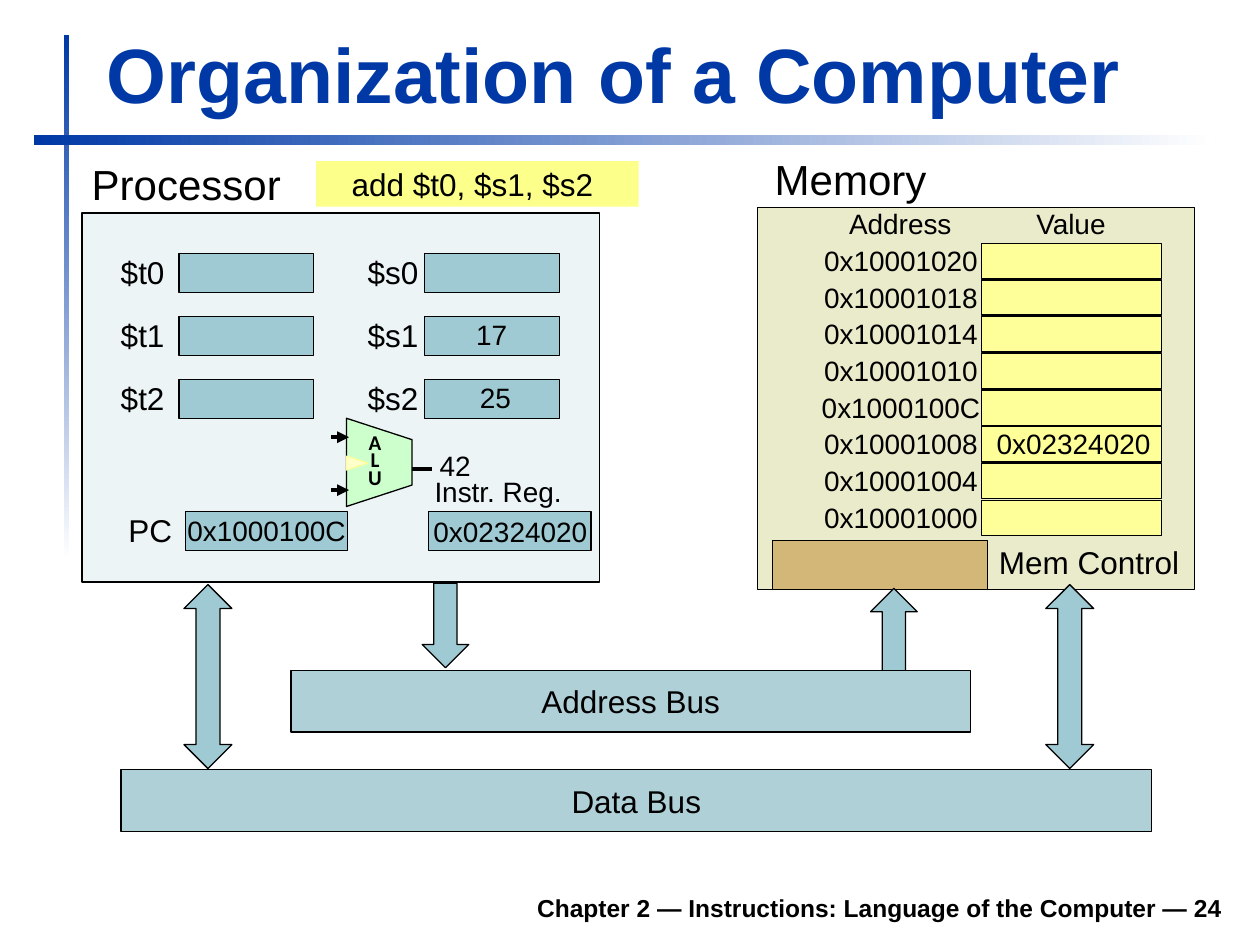
from dataclasses import dataclass

import pptx
import pptx.dml.color
import pptx.enum.dml
import pptx.enum.shapes
import pptx.enum.text
import pptx.oxml
import pptx.oxml.ns
import pptx.util
from lxml import etree

Inches = pptx.util.Inches
Pt = pptx.util.Pt
MSO = pptx.enum.shapes.MSO_SHAPE
ANCHOR = pptx.enum.text.MSO_ANCHOR
ALIGN = pptx.enum.text.PP_ALIGN
FIT = pptx.enum.text.MSO_AUTO_SIZE
qn = pptx.oxml.ns.qn

BLACK, BLUE, WHITE = "000000", "0039A6", "FFFFFF"
TEAL, BUS, YELLOW = "9FCAD3", "B0D0D8", "FFFF99"
CENTERED = {"align": ALIGN.CENTER, "anchor": ANCHOR.MIDDLE}


@dataclass
class Box:
    x: float
    y: float
    w: float
    h: float
    fill: str = TEAL
    line: str | None = BLACK
    kind: int = MSO.RECTANGLE
    rotation: int = 0


@dataclass
class Label:
    text: str
    x: float
    y: float
    w: float
    h: float
    size: int = 18
    bold: bool = False
    color: str = BLACK
    font: str = "Arial"
    align: int = ALIGN.LEFT
    anchor: int = ANCHOR.TOP
    wrap: bool = False
    spacing: float = 1.0


def rgb(value: str) -> pptx.dml.color.RGBColor:
    return pptx.dml.color.RGBColor.from_string(value)


def apply(target, values: dict) -> None:
    for name, value in values.items():
        setattr(target, name, value)


def write(sp, label: Label, left: float = 0.1, right: float = 0.1) -> None:
    tf = sp.text_frame
    apply(tf, {
        "word_wrap": label.wrap, "vertical_anchor": label.anchor,
        "margin_left": Inches(left), "margin_right": Inches(right),
        "margin_top": Inches(0.05), "margin_bottom": Inches(0.05),
    })
    p = tf.paragraphs[0]
    apply(p, {"alignment": label.align, "line_spacing": label.spacing})
    r = p.add_run()
    r.text = label.text
    apply(r.font, {"name": label.font, "size": Pt(label.size), "bold": label.bold})
    r.font.color.rgb = rgb(label.color)


def add_label(s, label: Label) -> None:
    sp = s.shapes.add_textbox(*map(Inches, (label.x, label.y, label.w, label.h)))
    if label.wrap:
        write(sp, label)
    else:
        write(sp, label, 0 if label.align == ALIGN.CENTER else 0.1, 0)
        sp.text_frame.auto_size = FIT.NONE


def paint(sp, fill: str, line: str | None) -> None:
    sp.shadow.inherit = False
    sp.fill.solid()
    sp.fill.fore_color.rgb = rgb(fill)
    if line is None:
        sp.line.fill.background()
    else:
        sp.line.color.rgb = rgb(line)
        sp.line.width = Pt(0.75)


def add_box(s, box: Box):
    sp = s.shapes.add_shape(box.kind, *map(Inches, (box.x, box.y, box.w, box.h)))
    paint(sp, box.fill, box.line)
    sp.rotation = box.rotation
    return sp


def add_titled_box(s, box: Box, text: str, right: float = 0.1) -> None:
    label = Label(text, box.x, box.y, box.w, box.h, **CENTERED)
    write(add_box(s, box), label, right=right)


def add_fading_bar(s, box: Box, angle: int) -> None:
    sp = add_box(s, box)
    sp.fill.gradient()
    sp.fill.gradient_angle = angle
    for stop, color in zip(sp.fill.gradient_stops, (BLUE, WHITE)):
        stop.color.rgb = rgb(color)


def add_wire(s, x1: float, x2: float, y: float, arrow: bool) -> None:
    c = s.shapes.add_connector(pptx.enum.shapes.MSO_CONNECTOR.STRAIGHT,
                               *map(Inches, (x1, y, x2, y)))
    c.line.color.rgb = rgb(BLACK)
    c.line.width = Pt(2.25)
    if arrow:
        etree.SubElement(c.line._get_or_add_ln(), qn("a:tailEnd"), type="triangle")
    etree.SubElement(c._element.spPr, qn("a:effectLst"))


def draw_processor(s) -> None:
    add_box(s, Box(0.65, 1.69, 4.11, 2.93, "ECF4F6"))
    add_label(s, Label("Processor", 0.63, 1.21, 1.7, 0.5, 24))
    for prefix, label_x, label_w, box_x in (("$t", 0.86, 0.55, 1.42), ("$s", 2.82, 0.6, 3.37)):
        for i in range(3):
            y = 2.01 + 0.5 * i
            add_box(s, Box(box_x, y, 1.07, 0.31))
            add_label(s, Label(f"{prefix}{i}", label_x, y - 0.05, label_w, 0.4))
    for x in (1.47, 3.4):
        add_box(s, Box(x, 4.06, 1.29, 0.31))
    add_label(s, Label("PC", 0.92, 4.01, 0.54, 0.4))
    add_label(s, Label("Instr. Reg.", 3.35, 3.72, 1.22, 0.37, 16))
    add_label(s, Label("0x1000100C", 1.39, 4.02, 1.45, 0.37, 16, **CENTERED))
    add_label(s, Label("0x02324020", 3.34, 4.03, 1.42, 0.37, 16, **CENTERED))
    for value, x, y in (("42", 3.39, 3.51), ("17", 3.68, 2.47), ("25", 3.71, 2.97)):
        add_label(s, Label(value, x, y, 0.44, 0.37, 16))


def draw_alu(s) -> None:
    corners = [(2.75, 4.02), (3.27, 3.85), (3.27, 3.49), (2.75, 3.32)]
    points = [(Inches(x), Inches(y)) for x, y in corners]
    builder = s.shapes.build_freeform(*points[0])
    builder.add_line_segments(points[1:], close=True)
    paint(builder.convert_to_shape(), "CCFFCC", BLACK)
    add_box(s, Box(2.78, 3.59, 0.11, 0.17, "FFFFCC", YELLOW, MSO.ISOSCELES_TRIANGLE, 90))
    add_label(s, Label("ALU", 2.8, 3.41, 0.35, 0.52, 12, True, font="Calibri",
                       wrap=True, spacing=0.7, **CENTERED))
    add_wire(s, 3.27, 3.43, 3.72, False)
    for y in (3.47, 3.89):
        add_wire(s, 2.63, 2.77, y, True)


def draw_memory(s) -> None:
    add_box(s, Box(6.01, 1.65, 3.47, 3.03, "EAEBCB"))
    add_label(s, Label("Memory", 6.05, 1.17, 1.4, 0.5, 24))
    add_label(s, Label("Address", 6.64, 1.59, 1.01, 0.37, 16, **CENTERED))
    add_label(s, Label("Value", 8.12, 1.59, 0.76, 0.37, 16, **CENTERED))
    cells = {"20": "", "18": "", "14": "", "10": "", "0C": "",
             "08": "0x02324020", "04": "", "00": ""}
    pitch = 2.04 / (len(cells) - 1)
    for i, (suffix, value) in enumerate(cells.items()):
        y = 1.88 + pitch * i
        add_label(s, Label(f"0x100010{suffix}", 6.44, y, 1.42, 0.37, 16, **CENTERED))
        add_box(s, Box(7.79, y + 0.05, 1.43, 0.28, YELLOW))
        if value:
            add_label(s, Label(value, 7.81, y, 1.42, 0.37, 16, **CENTERED))
    add_box(s, Box(6.13, 4.29, 1.71, 0.39, "D3B779"))
    add_label(s, Label("Mem Control", 7.83, 4.26, 1.63, 0.4))


def draw_buses(s) -> None:
    for x, y, rotation in ((3.2, 4.78, 90), (6.76, 4.82, 270)):
        add_box(s, Box(x, y, 0.67, 0.37, kind=MSO.RIGHT_ARROW, rotation=rotation))
    add_titled_box(s, Box(2.31, 5.32, 5.39, 0.49, BUS), "Address Bus")
    add_titled_box(s, Box(0.96, 6.11, 8.18, 0.49, BUS), "Data Bus")
    for x in (0.92, 7.76):
        add_box(s, Box(x, 5.18, 1.46, 0.38, kind=MSO.LEFT_RIGHT_ARROW, rotation=90))


def main() -> None:
    prs = pptx.Presentation()
    apply(prs, {"slide_width": Inches(10), "slide_height": Inches(7.5)})
    s = prs.slides.add_slide(prs.slide_layouts[6])
    add_fading_bar(s, Box(0.51, 0.28, 0.04, 4.17, line=None), 270)
    add_fading_bar(s, Box(0.27, 1.07, 9.37, 0.08, line=None), 0)
    add_label(s, Label("Organization of a Computer", 0.75, 0.16, 9.03, 0.83, 44, True, BLUE,
                       anchor=ANCHOR.BOTTOM, wrap=True))
    add_label(s, Label("Chapter 2 — Instructions: Language of the Computer — 24",
                       1.85, 6.98, 7.95, 0.39, 14, True,
                       align=ALIGN.RIGHT, anchor=ANCHOR.BOTTOM, wrap=True))
    draw_processor(s)
    draw_memory(s)
    draw_buses(s)
    draw_alu(s)
    add_titled_box(s, Box(2.51, 1.28, 2.56, 0.36, "FDFF8B", None), "add $t0, $s1, $s2", 0.18)
    prs.save("out.pptx")


if __name__ == "__main__":
    main()
